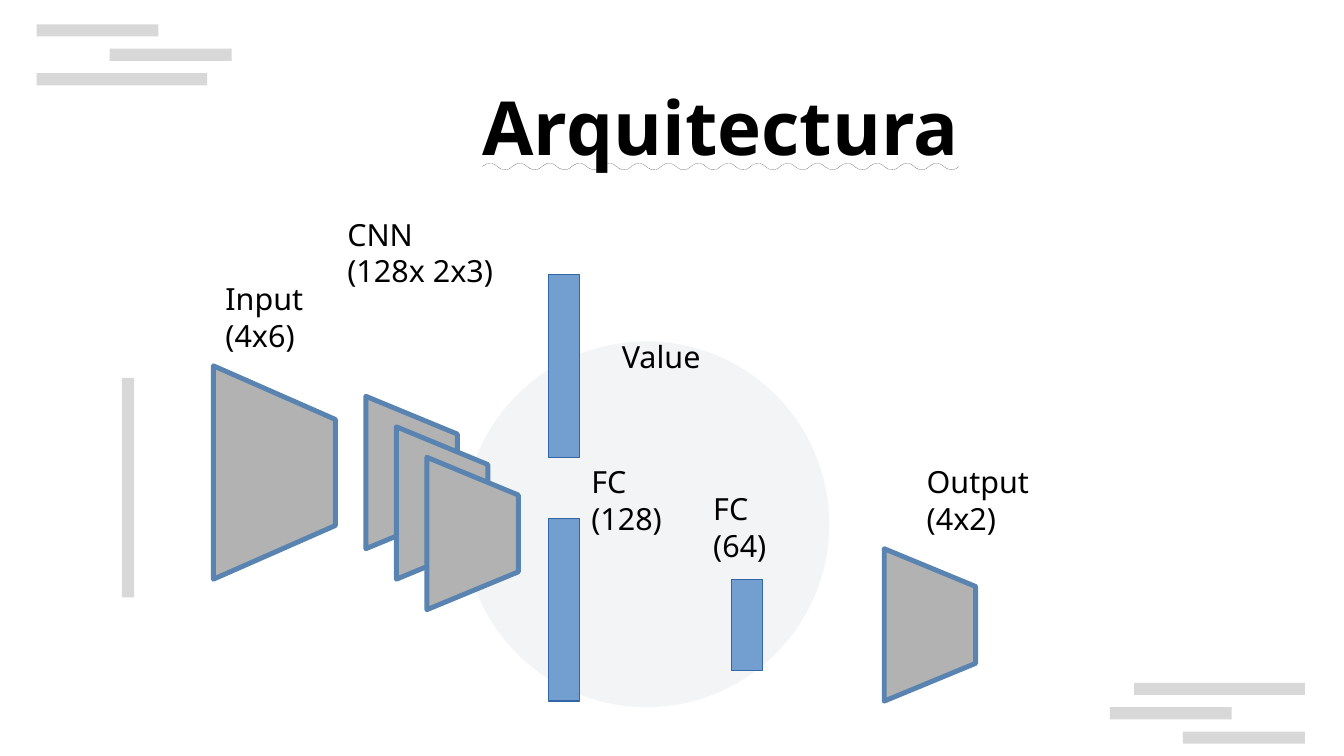
from lxml.etree import SubElement
from pptx import Presentation
from pptx.dml.color import RGBColor
from pptx.enum.shapes import MSO_SHAPE
from pptx.enum.text import MSO_ANCHOR, MSO_UNDERLINE, PP_ALIGN
from pptx.oxml.ns import qn
from pptx.util import Pt

PX = 9144
FONT = "Noto Sans"
BLACK = RGBColor(0x00, 0x00, 0x00)
BAR_GRAY = RGBColor(0xCC, 0xCC, 0xCC)
DISC_GRAY = RGBColor(0x8D, 0x99, 0xAE)
LAYER_GRAY = RGBColor(0xB2, 0xB2, 0xB2)
LAYER_EDGE = RGBColor(0x59, 0x83, 0xB0)
DENSE_BLUE = RGBColor(0x72, 0x9F, 0xCF)
DENSE_EDGE = RGBColor(0x34, 0x65, 0xA4)


def px(*lengths):
    """Turn px lengths into EMU."""
    return [length * PX for length in lengths]


def style_shape(shape, fill, alpha=100, edge=None, edge_width=0):
    """Set the fill, its opacity and the outline of a shape."""
    shape.shadow.inherit = False
    shape.fill.solid()
    shape.fill.fore_color.rgb = fill
    if alpha < 100:
        color = shape.fill._xPr.find(qn("a:solidFill"))[0]
        SubElement(color, qn("a:alpha")).set("val", str(alpha * 1000))
    if edge is None:
        shape.line.fill.background()
    else:
        shape.line.color.rgb = edge
        shape.line.width = Pt(edge_width)


def add_preset(slide, kind, box, fill, **look):
    """Add a styled preset shape."""
    style_shape(slide.shapes.add_shape(kind, *px(*box)), fill, **look)


def add_text(slide, box, text, size=18, bold=False, underline=None,
             align=PP_ALIGN.LEFT, anchor=MSO_ANCHOR.TOP, insets=(10, 5)):
    """Add a text box with one paragraph for each line of text."""
    frame = slide.shapes.add_textbox(*px(*box)).text_frame
    frame.word_wrap = True
    frame.vertical_anchor = anchor
    frame.margin_left = frame.margin_right = insets[0] * PX
    frame.margin_top = frame.margin_bottom = insets[1] * PX
    frame.text = text
    for paragraph in frame.paragraphs:
        paragraph.alignment = align
        font = paragraph.runs[0].font
        font.name, font.size, font.bold = FONT, Pt(size), bold
        font.underline = underline
        font.color.rgb = BLACK


def add_layer(slide, left, top, width, height):
    """Add a trapezoid whose right side is half as tall as its left."""
    inset = height / 4
    builder = slide.shapes.build_freeform(left, top, scale=PX)
    builder.add_line_segments([
        (left + width, top + inset),
        (left + width, top + height - inset),
        (left, top + height),
    ], close=True)
    style_shape(builder.convert_to_shape(), LAYER_GRAY,
                edge=LAYER_EDGE, edge_width=2.89)


def add_bars(slide, left, top, bars):
    """Stack thin bars, given as offset and width, at an even pitch."""
    for row, (offset, width) in enumerate(bars):
        add_preset(slide, MSO_SHAPE.RECTANGLE,
                   (left + offset, top + 20 * row, width, 10),
                   BAR_GRAY, alpha=75)


def add_backdrop(slide, left, top, width, height):
    """Place the decoration within the slide area."""
    add_bars(slide, left + width - 192, top + height - 60,
             [(20, 140), (0, 100), (60, 100)])
    add_bars(slide, left + 30, top + 20, [(0, 100), (60, 100), (0, 140)])
    add_preset(slide, MSO_SHAPE.OVAL, (left + 380, top + 280, 300, 300),
               DISC_GRAY, alpha=10)
    add_preset(slide, MSO_SHAPE.RECTANGLE, (left + 100, top + 310, 10, 180),
               BAR_GRAY, alpha=75)


def add_network(slide, left, top):
    """Draw the layers of the network and their labels."""
    add_layer(slide, left, top + 128, 100, 175)
    for step in range(3):
        add_layer(slide, left + 125 + 25 * step, top + 153 + 25 * step, 75, 125)
    add_layer(slide, left + 550, top + 278, 75, 125)
    for x, y, height in [(275, 253, 150), (425, 303, 75), (275, 53, 150)]:
        add_preset(slide, MSO_SHAPE.RECTANGLE, (left + x, top + y, 25, height),
                   DENSE_BLUE, edge=DENSE_EDGE)
    labels = [
        (325, 100, 125, 78, "Value"),
        (0, 53, 100, 78, "Input (4x6)"),
        (100, 0, 150, 112, "CNN\n(128x 2x3)"),
        (300, 203, 100, 78, "FC\n(128)"),
        (400, 225, 100, 78, "FC\n(64)"),
        (575, 203, 125, 112, "Output\n(4x2)"),
    ]
    for x, y, width, height, text in labels:
        add_text(slide, (left + x, top + y, width, height), text)


def main():
    """Build and save the architecture slide."""
    presentation = Presentation()
    presentation.slide_width, presentation.slide_height = px(1102, 620)
    slide = presentation.slides.add_slide(presentation.slide_layouts[6])
    add_backdrop(slide, 0, 0, 1102, 620)
    add_text(slide, (138, 51, 906, 104), "Arquitectura", size=44, bold=True,
             underline=MSO_UNDERLINE.WAVY_LINE, align=PP_ALIGN.CENTER,
             anchor=MSO_ANCHOR.MIDDLE, insets=(0, 0))
    add_network(slide, 175, 172)
    presentation.save("out.pptx")


if __name__ == "__main__":
    main()
